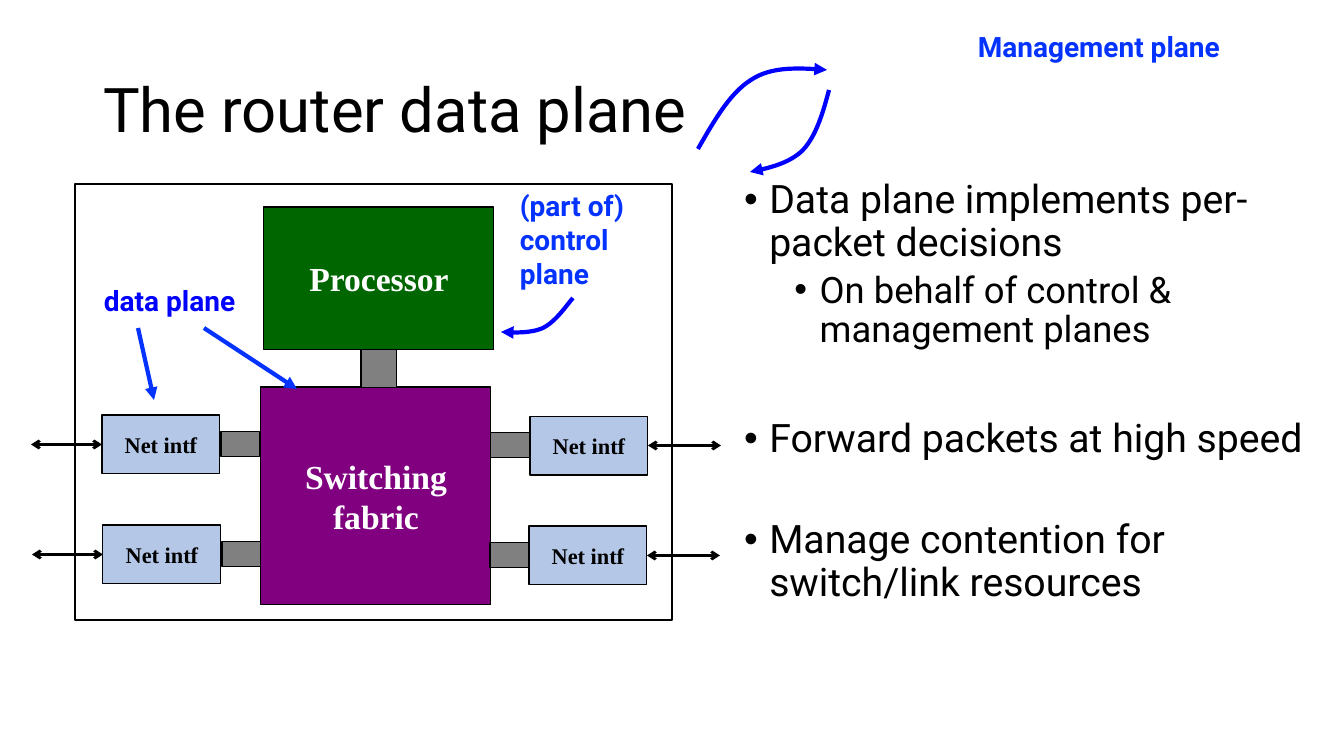
from dataclasses import dataclass

from lxml import etree
from pptx import Presentation
from pptx import util as u
from pptx.dml.color import RGBColor
from pptx.enum import shapes, text
from pptx.oxml import ns

PX = 914400 / 100.8
LEFT_SIDE, RIGHT_SIDE = 1, 3


@dataclass(frozen=True)
class Theme:
    """Colours, fonts and type sizes of the slide."""
    black: str = "000000"
    white: str = "FFFFFF"
    fabric: str = "800080"
    processor: str = "006600"
    link: str = "808080"
    port: str = "B4C7E7"
    blue: str = "0000FF"
    bright_blue: str = "0432FF"
    sans: str = "Roboto"
    serif: str = "Times New Roman"
    title: int = 44
    bullet: int = 28
    sub_bullet: int = 26
    block: int = 24
    note: int = 20
    port_label: int = 16


def emu(*lengths):
    """Turn px lengths into EMU."""
    return [u.Emu(round(length * PX)) for length in lengths]


def write_text(para, words, size, font, color, bold=False, align=None, spacing=None, before=0):
    """Write one formatted span into a paragraph."""
    para.alignment = align
    para.line_spacing = spacing
    para.space_before = u.Pt(before)
    span = para.add_run()
    span.text = words
    span.font.size = u.Pt(size)
    span.font.name = font
    span.font.bold = bold
    span.font.color.rgb = RGBColor.from_string(color)


def bezier(start, first, second, end, steps=16):
    """Return the points of a cubic curve after its start."""
    return [
        tuple((1 - t) ** 3 * a + 3 * (1 - t) ** 2 * t * b + 3 * (1 - t) * t * t * c + t ** 3 * d
              for a, b, c, d in zip(start, first, second, end))
        for t in (step / steps for step in range(1, steps + 1))
    ]


class Page:
    """Draws the elements of one slide in one style."""

    def __init__(self, deck, theme):
        """Add a slide with a title and a body."""
        self.theme = theme
        self.slide = deck.slides.add_slide(deck.slide_layouts[1])
        self.items = self.slide.shapes

    def place(self, box, at):
        """Move a placeholder and return its text frame."""
        box.left, box.top, box.width, box.height = emu(*at)
        box.text_frame.auto_size = text.MSO_AUTO_SIZE.NONE
        box.text_frame.word_wrap = True
        return box.text_frame

    def title(self, words, at):
        """Fill the title placeholder."""
        frame = self.place(self.items.title, at)
        frame.vertical_anchor = text.MSO_ANCHOR.MIDDLE
        write_text(frame.paragraphs[0], words, self.theme.title, self.theme.sans,
                   self.theme.black, align=text.PP_ALIGN.LEFT, spacing=0.9)

    def bullets(self, entries, at):
        """Fill the body with (level, space before, words) entries."""
        frame = self.place(self.slide.placeholders[1], at)
        frame.vertical_anchor = text.MSO_ANCHOR.TOP
        for index, (level, before, words) in enumerate(entries):
            para = frame.add_paragraph() if index else frame.paragraphs[0]
            para.level = level
            props = para._p.get_or_add_pPr()
            props.set("marL", str(u.Inches(0.25 + 0.5 * level)))
            props.set("indent", str(u.Inches(-0.25)))
            etree.SubElement(props, ns.qn("a:buFont"), typeface="Arial")
            etree.SubElement(props, ns.qn("a:buChar"), char="•")
            size = self.theme.sub_bullet if level else self.theme.bullet
            write_text(para, words, size, self.theme.sans, self.theme.black,
                       align=text.PP_ALIGN.LEFT, spacing=0.9, before=before)

    def lines(self, box, words, wrap=False, **style):
        """Write each line of words as a paragraph of a box."""
        frame = box.text_frame
        frame.word_wrap = wrap
        for index, line in enumerate(words.split("\n")):
            para = frame.add_paragraph() if index else frame.paragraphs[0]
            write_text(para, line, **style)

    def note(self, words, at, color, wrap=False, align=text.PP_ALIGN.LEFT):
        """Add a bold blue label."""
        self.lines(self.items.add_textbox(*emu(*at)), words, wrap, size=self.theme.note,
                   font=self.theme.sans, color=color, bold=True, align=align)

    def block(self, at, fill=None, words=None, size=None, color=None,
              kind=shapes.MSO_SHAPE.RECTANGLE, border=0.75):
        """Add an outlined block with an optional centred label."""
        box = self.items.add_shape(kind, *emu(*at))
        box.shadow.inherit = False
        if fill:
            box.fill.solid()
            box.fill.fore_color.rgb = RGBColor.from_string(fill)
        else:
            box.fill.background()
        self.stroke(box, self.theme.black, border)
        if words:
            box.text_frame.vertical_anchor = text.MSO_ANCHOR.MIDDLE
            self.lines(box, words, size=size, font=self.theme.serif, color=color,
                       bold=True, align=text.PP_ALIGN.CENTER)
        return box

    def stroke(self, item, color, width, head=None, tail=None):
        """Set the line of an item and its arrowheads."""
        item.line.color.rgb = RGBColor.from_string(color)
        item.line.width = u.Pt(width)
        outline = item.element.spPr.find(ns.qn("a:ln"))
        for tag, kind in (("a:headEnd", head), ("a:tailEnd", tail)):
            if kind:
                etree.SubElement(outline, ns.qn(tag), type=kind)

    def arrow(self, start, end, color, width, head=None, tail="triangle"):
        """Add a straight arrow."""
        line = self.items.add_connector(shapes.MSO_CONNECTOR.STRAIGHT, *emu(*start, *end))
        self.stroke(line, color, width, head, tail)
        etree.SubElement(line.element.spPr, ns.qn("a:effectLst"))
        return line

    def curved_arrow(self, start, *controls):
        """Add a curved arrow through cubic segments."""
        points = [start]
        for index in range(0, len(controls), 3):
            points += bezier(points[-1], *controls[index:index + 3])
        first, *rest = [emu(*point) for point in points]
        builder = self.items.build_freeform(*first)
        builder.add_line_segments(rest, close=False)
        curve = builder.convert_to_shape()
        curve.shadow.inherit = False
        curve.fill.background()
        self.stroke(curve, self.theme.blue, 3, tail="triangle")

    def port(self, left, top, side):
        """Add a network interface with its inner link and outer arrow."""
        width, height, link = 118, 59, 39
        middle = top + height / 2
        on_left = side == LEFT_SIDE
        box = self.block((left, top, width, height), self.theme.port, "Net intf",
                         self.theme.port_label, self.theme.black)
        link_left = left + width + 1 if on_left else left - link
        self.block((link_left, top + 17, link, 25), self.theme.link)
        edge, tip = (left, left - 71) if on_left else (left + width, left + width + 73)
        line = self.arrow((edge, middle), (tip, middle), self.theme.black, 2, "arrow", "arrow")
        line.begin_connect(box, side)


def main():
    """Build the router slide."""
    deck = Presentation()
    deck.slide_width, deck.slide_height = emu(1344, 756)
    theme = Theme()
    page = Page(deck, theme)
    page.title("The router data plane", (93, 40, 1159, 146))
    page.block((261, 387, 230, 218), theme.fabric, "Switching\nfabric", theme.block, theme.white)
    page.block((264, 207, 230, 143), theme.processor, "Processor", theme.block, theme.white)
    page.block((361, 350, 36, 38), theme.link)
    for left, top, side in ((102, 415, LEFT_SIDE), (103, 525, LEFT_SIDE),
                            (530, 416, RIGHT_SIDE), (529, 526, RIGHT_SIDE)):
        page.port(left, top, side)
    page.note("data plane", (94, 279, 160, 44), theme.blue)
    page.note("(part of)\ncontrol\nplane", (510, 184, 127, 112), theme.bright_blue)
    page.note("Management plane", (939, 25, 320, 44), theme.bright_blue, True,
              text.PP_ALIGN.CENTER)
    router = page.block((75, 184, 597, 436), kind=shapes.MSO_SHAPE.RECTANGULAR_CALLOUT, border=1)
    router.adjustments[0], router.adjustments[1] = 0.2, 0.5
    page.bullets([
        (0, 0, "Data plane implements per-packet decisions"),
        (1, 5, "On behalf of control & management planes"),
        (0, 49, "Forward packets at high speed"),
        (0, 42, "Manage contention for switch/link resources"),
    ], (734, 175, 580, 570))
    page.arrow((138, 328), (154, 400), theme.bright_blue, 3)
    page.arrow((204, 328), (297, 389), theme.bright_blue, 3)
    page.curved_arrow((573, 298), (564, 309), (555, 322), (543, 328),
                      (532, 333), (516, 333), (501, 332))
    page.curved_arrow((698, 149), (714, 121), (730, 93), (751, 80),
                      (772, 66), (799, 68), (827, 70))
    page.curved_arrow((829, 90), (823, 113), (816, 136), (803, 150),
                      (790, 163), (770, 168), (750, 172))
    deck.save("out.pptx")


if __name__ == "__main__":
    main()
